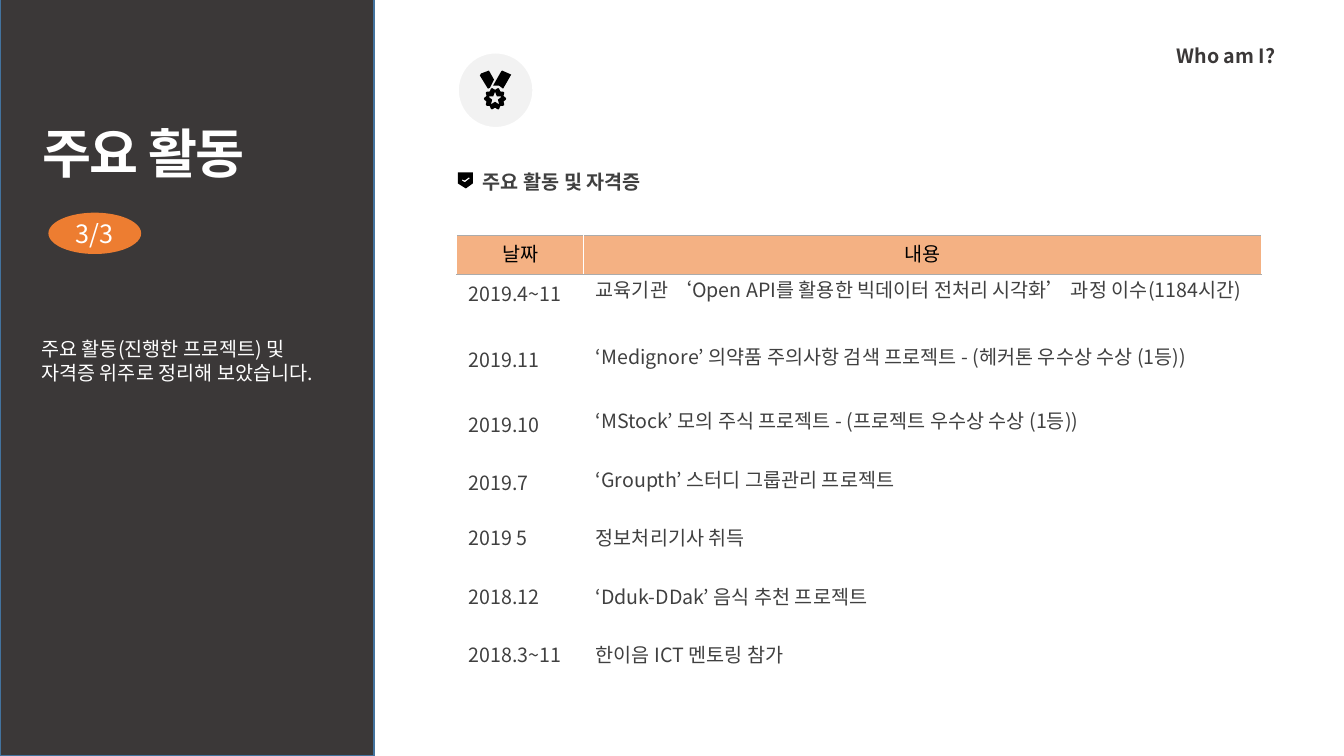
import math
from lxml import etree
from pptx import Presentation, util as u
from pptx.dml.color import RGBColor
from pptx.enum import shapes, text
from pptx.oxml import ns

FONT = "Noto Sans CJK KR"
DARK, GRAY, WHITE, BLACK = "3B3838", "404040", "FFFFFF", "000000"
LEFT, CENTER, RIGHT = text.PP_ALIGN.LEFT, text.PP_ALIGN.CENTER, text.PP_ALIGN.RIGHT


def paint(item, fill, line=None, width=1):
    item.shadow.inherit = False
    item.fill.solid()
    item.fill.fore_color.rgb = RGBColor.from_string(fill)
    if line:
        item.line.color.rgb = RGBColor.from_string(line)
        item.line.width = u.Pt(width)
    else:
        item.line.fill.background()


def write(para, words, size, color, bold=False, align=LEFT, pitch=None):
    para.alignment = align
    para.space_before = u.Pt(0)
    if pitch:
        para.line_spacing = u.Pt(pitch)
    run = para.add_run()
    run.text = words
    run.font.size = u.Pt(size)
    run.font.bold = bold
    run.font.color.rgb = RGBColor.from_string(color)
    run.font.name = FONT
    etree.SubElement(run.font._element, ns.qn("a:ea")).set("typeface", FONT)
    return run


deck = Presentation()
deck.slide_width, deck.slide_height = u.Inches(13.33), u.Inches(7.5)
slide = deck.slides.add_slide(deck.slide_layouts[1])
art = slide.shapes
title, body = art.title, slide.placeholders[1]

panel = art.add_shape(shapes.MSO_SHAPE.RECTANGLE, 0, u.Inches(-0.08), u.Inches(3.71), u.Inches(7.58))
paint(panel, DARK, "43739E")
disc = art.add_shape(shapes.MSO_SHAPE.OVAL, *map(u.Inches, (4.54, 0.52, 0.75, 0.75)))
paint(disc, "F2F2F2", WHITE, 1.5)

mid, eye = 4.91, 0.98
rose, star = [], []
for i in range(80):
    turn = math.tau * i / 80
    far = 0.1 - 0.01 * math.cos(10 * turn)
    rose.append((mid + far * math.sin(turn), eye - far * math.cos(turn)))
for i in range(10):
    turn = math.tau * i / 10
    far = 0.03 if i % 2 else 0.07
    star.append((mid + far * math.sin(turn), eye - far * math.cos(turn)))
icons = [
    [[(4.77, 0.73), (4.85, 0.7), (4.9, 0.79), (4.86, 0.87), (4.84, 0.88), (4.76, 0.75)]],
    [[(4.98, 0.7), (5.07, 0.74), (4.99, 0.88), (4.95, 0.85), (4.89, 0.85), (4.97, 0.71)]],
    [rose, star],
    [[(4.54, 1.71), (4.69, 1.71), (4.69, 1.82), (4.62, 1.87), (4.54, 1.82)],
     [(4.65, 1.76), (4.66, 1.77), (4.61, 1.81), (4.58, 1.79), (4.58, 1.78), (4.61, 1.79)]],
]
for loops in icons:
    pen = None
    for loop in loops:
        dots = [(u.Inches(x), u.Inches(y)) for x, y in loop]
        if pen:
            pen.move_to(*dots[0])
        else:
            pen = art.build_freeform(*dots[0])
        pen.add_line_segments(dots[1:], close=True)
    paint(pen.convert_to_shape(), BLACK)

rows = [
    ("날짜", "내용"),
    ("2019.4~11", "교육기관 ‘Open API를 활용한 빅데이터 전처리 시각화’ 과정 이수(1184시간)"),
    ("2019.11", "‘Medignore’ 의약품 주의사항 검색 프로젝트 - (헤커톤 우수상 수상 (1등))"),
    ("2019.10", "‘MStock’ 모의 주식 프로젝트 - (프로젝트 우수상 수상 (1등))"),
    ("2019.7", "‘Groupth’ 스터디 그룹관리 프로젝트"),
    ("2019 5", "정보처리기사 취득"),
    ("2018.12", "‘Dduk-DDak’ 음식 추천 프로젝트"),
    ("2018.3~11", "한이음 ICT 멘토링 참가"),
]
tall = [0.38, 0.66, 0.64] + [0.58] * 5
wide = [1.26, 6.72]
table = art.add_table(len(rows), 2, *map(u.Inches, (4.53, 2.34, sum(wide), sum(tall)))).table
table.first_row = table.horz_banding = False
for col, size in zip(table.columns, wide):
    col.width = u.Inches(size)
for r, row in enumerate(rows):
    table.rows[r].height = u.Inches(tall[r])
    for c, words in enumerate(row):
        cell = table.cell(r, c)
        cell.margin_left = u.Inches(0.12 if r else 0)
        cell.margin_right = 0
        cell.margin_top = cell.margin_bottom = u.Inches(0.04 if r else 0)
        cell.vertical_anchor = text.MSO_ANCHOR.TOP if r else text.MSO_ANCHOR.MIDDLE
        edges = {"lnL": WHITE, "lnR": WHITE}
        if r < 2:
            edges["lnT"] = "ABABAB"
        edges["lnB"] = WHITE if r else "ABABAB"
        for tag, color in edges.items():
            edge = etree.SubElement(cell._tc.get_or_add_tcPr(), ns.qn("a:" + tag), w="12700")
            ink = etree.SubElement(edge, ns.qn("a:solidFill"))
            etree.SubElement(ink, ns.qn("a:srgbClr"), val=color)
        if r:
            cell.fill.background()
        else:
            cell.fill.solid()
            cell.fill.fore_color.rgb = RGBColor.from_string("F4B183")
        pitch = None if c == 0 and 0 < r < 5 else 18
        write(cell.text_frame.paragraphs[0], words, 14, GRAY if r else BLACK,
              align=LEFT if r else CENTER, pitch=pitch)

badge = art.add_shape(shapes.MSO_SHAPE.OVAL, *map(u.Inches, (0.48, 2.11, 0.92, 0.41)))
paint(badge, "ED7D31")
badge.text_frame.vertical_anchor = text.MSO_ANCHOR.MIDDLE
badge.text_frame.word_wrap = False
badge.text_frame.margin_top = badge.text_frame.margin_bottom = 0
write(badge.text_frame.paragraphs[0], "3/3", 18, WHITE, align=CENTER)

head = art.add_textbox(*map(u.Inches, (4.53, 1.68, 2.99, 0.24)))
tag = art.add_textbox(*map(u.Inches, (8.07, 0.43, 4.58, 0.24)))
for item in (title, body):
    item.element.getparent().append(item.element)
title.left, title.top, title.width, title.height = map(u.Inches, (0.42, 1.27, 2.73, 0.51))
body.left, body.top, body.width, body.height = map(u.Inches, (0.31, 3.29, 3.2, 0.57))
for item in (head, tag, title, body):
    frame = item.text_frame
    frame.word_wrap = True
    frame.auto_size = text.MSO_AUTO_SIZE.NONE
    frame.vertical_anchor = text.MSO_ANCHOR.TOP
    if item is not body:
        frame.margin_left = frame.margin_right = frame.margin_top = frame.margin_bottom = 0

para = head.text_frame.paragraphs[0]
para._p.get_or_add_pPr().set("marL", str(u.Inches(0.26)))
write(para, "주요 활동 및 자격증", 14, GRAY, True, pitch=17)
write(tag.text_frame.paragraphs[0], "Who am I?", 14, DARK, True, RIGHT, 17)
name = write(title.text_frame.paragraphs[0], "주요 활동", 38, WHITE, True, pitch=40)
name.font._element.set("spc", "-100")
for i, words in enumerate(("주요 활동(진행한 프로젝트) 및", "자격증 위주로 정리해 보았습니다.")):
    para = body.text_frame.add_paragraph() if i else body.text_frame.paragraphs[0]
    form = para._p.get_or_add_pPr()
    form.set("marL", "0")
    form.set("indent", "0")
    etree.SubElement(form, ns.qn("a:buNone"))
    write(para, words, 14, WHITE, pitch=17)

deck.save("out.pptx")
